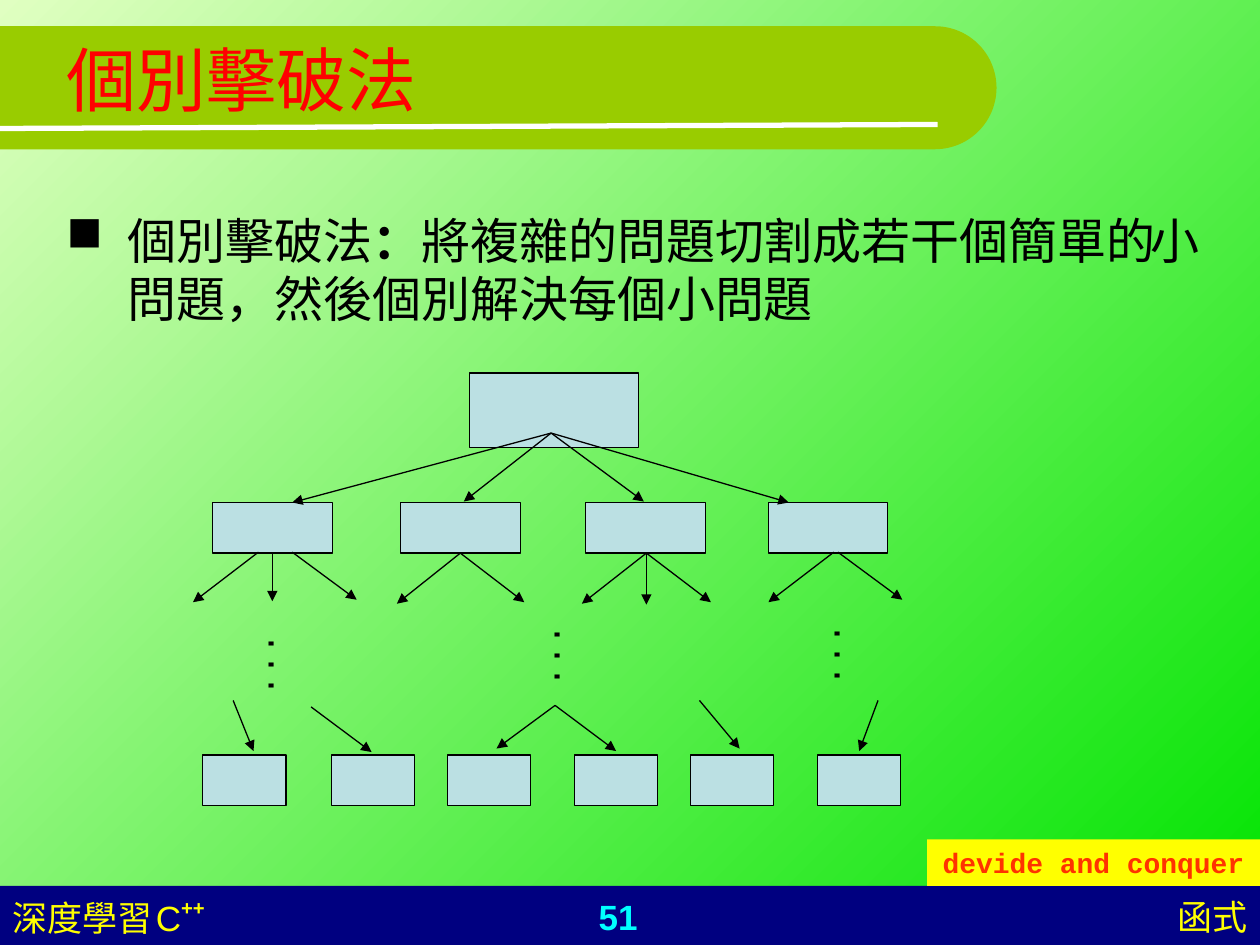
from math import cos, pi, sin

from lxml.etree import SubElement
from pptx import Presentation
from pptx.dml.color import RGBColor
from pptx.enum.shapes import MSO_CONNECTOR as Connector, MSO_SHAPE as Shape
from pptx.enum.text import MSO_ANCHOR as Anchor, PP_ALIGN as Align
from pptx.oxml.ns import qn
from pptx.util import Cm, Pt

BLACK = RGBColor(0x00, 0x00, 0x00)
WHITE = RGBColor(0xFF, 0xFF, 0xFF)
RED = RGBColor(0xFF, 0x00, 0x00)
ORANGE = RGBColor(0xFF, 0x33, 0x00)
YELLOW = RGBColor(0xFF, 0xFF, 0x00)
CYAN = RGBColor(0x00, 0xFF, 0xFF)
NAVY = RGBColor(0x00, 0x00, 0x80)
OLIVE = RGBColor(0x99, 0xCC, 0x00)
PALE_BLUE = RGBColor(0xBB, 0xE0, 0xE3)
LIGHT_GREEN = RGBColor(0xE0, 0xFF, 0xC1)
GREEN = RGBColor(0x00, 0xE4, 0x00)

SANS, MONO = "Arial", "Courier New"

# Fans of arrows: a start point and the points it leads to, in cm
FANS = [
    ((11.11, 8.73), [(5.89, 10.13), (9.35, 10.11), (12.98, 10.11), (15.9, 10.13)]),
    ((5.21, 11.13), [(3.89, 12.14)]),
    ((5.49, 11.13), [(5.49, 12.12)]),
    ((5.89, 11.13), [(7.19, 12.09)]),
    ((9.28, 11.15), [(8, 12.17), (10.57, 12.14)]),
    ((13.03, 11.15), [(11.73, 12.17), (13.03, 12.19), (14.33, 12.14)]),
    ((16.81, 11.13), [(15.49, 12.14)]),
    ((16.89, 11.13), [(18.19, 12.09)]),
    ((4.7, 14.12), [(5.11, 15.14)]),
    ((6.27, 14.25), [(7.49, 15.16)]),
    ((11.19, 14.22), [(10.01, 15.09), (12.42, 15.14)]),
    ((14.1, 14.12), [(14.91, 15.09)]),
    ((17.7, 14.12), [(17.32, 15.14)]),
]


class Deck:
    def __init__(self):
        self.prs = Presentation()
        self.prs.slide_width, self.prs.slide_height = Cm(25.4), Cm(19.05)
        self.s = self.prs.slides.add_slide(self.prs.slide_layouts[6])

    def background(self, start, end):
        fill = self.s.background.fill
        fill.gradient()
        fill.gradient_angle = 315
        for stop, color in zip(fill.gradient_stops, (start, end)):
            stop.color.rgb = color

    def paint(self, sp, fill, outline=None):
        sp.shadow.inherit = False
        sp.fill.solid()
        sp.fill.fore_color.rgb = fill
        if outline is None:
            sp.line.fill.background()
        else:
            sp.line.color.rgb = outline
            sp.line.width = Pt(0.75)

    def rect(self, x, y, w, h, fill, outline=None):
        sp = self.s.shapes.add_shape(Shape.RECTANGLE, Cm(x), Cm(y), Cm(w), Cm(h))
        self.paint(sp, fill, outline)
        return sp

    def tab_banner(self, y, center_x, radius, fill):
        """Band from the left slide edge that ends in a half circle."""
        steps = 48
        arc = [(center_x + radius * sin(pi * i / steps),
                y + radius * (1 - cos(pi * i / steps))) for i in range(steps + 1)]
        points = [(Cm(px), Cm(py)) for px, py in arc + [(0, y + 2 * radius)]]
        builder = self.s.shapes.build_freeform(0, Cm(y))
        builder.add_line_segments(points, close=True)
        self.paint(builder.convert_to_shape(), fill)

    def line(self, start, end, color=BLACK, width=0.75, arrow=True):
        ends = [Cm(v) for v in (*start, *end)]
        cx = self.s.shapes.add_connector(Connector.STRAIGHT, *ends)
        cx.line.color.rgb = color
        cx.line.width = Pt(width)
        if arrow:
            SubElement(cx.line._get_or_add_ln(), qn("a:tailEnd"), type="triangle")
        SubElement(cx._element.spPr, qn("a:effectLst"))

    def run(self, p, text, size, color, font=SANS, bold=False, raised=0):
        r = p.add_run()
        r.text = text
        r.font.size, r.font.name, r.font.bold = Pt(size), font, bold
        r.font.color.rgb = color
        if raised:
            r._r.get_or_add_rPr().set("baseline", str(raised * 1000))

    def text(self, x, y, w, h, align=Align.LEFT, anchor=Anchor.TOP):
        """Add a text box and return its first paragraph."""
        tf = self.s.shapes.add_textbox(Cm(x), Cm(y), Cm(w), Cm(h)).text_frame
        tf.word_wrap = True
        tf.vertical_anchor = anchor
        p = tf.paragraphs[0]
        p.alignment = align
        return p

    def bullet(self, p, char, indent, tabs):
        pPr = p._p.get_or_add_pPr()
        pPr.set("marL", str(Cm(indent)))
        pPr.set("indent", str(-Cm(indent)))
        SubElement(SubElement(pPr, qn("a:buClr")), qn("a:srgbClr"), val=str(BLACK))
        SubElement(pPr, qn("a:buChar"), char=char)
        tab_list = SubElement(pPr, qn("a:tabLst"))
        for pos in tabs:
            SubElement(tab_list, qn("a:tab"), pos=str(Cm(pos)), algn="l")

    def vertical_dots(self, x, y):
        tf = self.s.shapes.add_textbox(Cm(x), Cm(y), Cm(1.35), Cm(1.52)).text_frame
        tf.word_wrap = False
        tf.margin_left = tf.margin_right = Cm(0.13)
        tf.margin_top = tf.margin_bottom = Cm(0.25)
        tf._txBody.bodyPr.set("vert", "eaVert")
        self.run(tf.paragraphs[0], "...", 20, BLACK, MONO)


def add_frame(d):
    d.background(LIGHT_GREEN, GREEN)
    d.rect(0, 17.86, 25.4, 1.19, NAVY)
    d.tab_banner(0.53, 18.85, 1.24, OLIVE)
    d.line((0, 2.59), (18.9, 2.51), WHITE, 3, arrow=False)

    d.run(d.text(9.5, 17.93, 5.92, 1.78, Align.CENTER), "51", 20, CYAN, bold=True)
    d.run(d.text(16.69, 17.93, 8.71, 1.12, Align.RIGHT), "函式", 20, YELLOW)
    p = d.text(0, 17.93, 5.92, 1.12)
    d.run(p, "深度學習", 20, YELLOW)
    d.run(p, " ", 8, YELLOW)
    d.run(p, "C", 20, YELLOW)
    d.run(p, "++", 20, YELLOW, bold=True, raised=46)


def add_content(d):
    p = d.text(1.09, 0, 22.86, 3.18, anchor=Anchor.MIDDLE)
    d.run(p, "個別擊破法", 40, RED, MONO)

    p = d.text(1.09, 4.11, 23.6, 3)
    d.bullet(p, "■", 1.24, [7.16] + [2.54 * i for i in range(3, 10)])
    d.run(p, "個別擊破法", 28, BLACK, MONO)
    d.run(p, "：", 28, BLACK, MONO, bold=True)
    d.run(p, "將複雜的問題切割成若干個簡單的\t小問題，然後個別解決每個小問題",
          28, BLACK, MONO)

    sp = d.rect(18.69, 16.92, 6.71, 0.94, YELLOW)
    p = sp.text_frame.paragraphs[0]
    p.alignment = Align.CENTER
    d.run(p, "devide and conquer", 16, ORANGE, MONO, bold=True)


def add_tree(d):
    d.rect(9.47, 7.52, 3.4, 1.5, PALE_BLUE, BLACK)
    for x in (4.29, 8.08, 11.81, 15.49):
        d.rect(x, 10.13, 2.41, 1.02, PALE_BLUE, BLACK)
    for x in (4.09, 6.68, 9.02, 11.58, 13.92, 16.48):
        d.rect(x, 15.22, 1.68, 1.02, PALE_BLUE, BLACK)
    for start, ends in FANS:
        for end in ends:
            d.line(start, end)
    for x, y in ((4.9, 12.52), (10.67, 12.34), (16.31, 12.32)):
        d.vertical_dots(x, y)


def main():
    d = Deck()
    add_frame(d)
    add_content(d)
    add_tree(d)
    d.prs.save("out.pptx")


if __name__ == "__main__":
    main()
